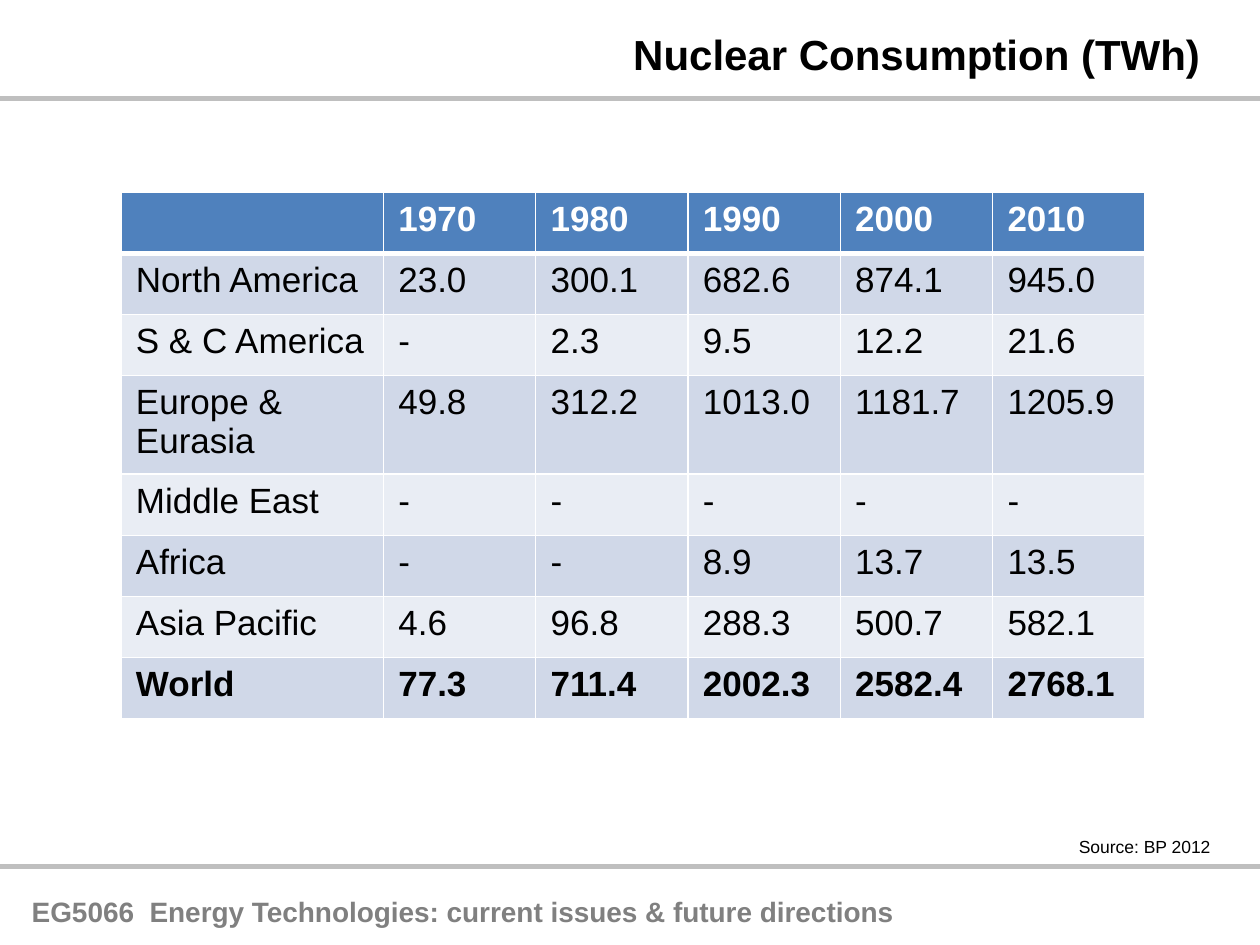
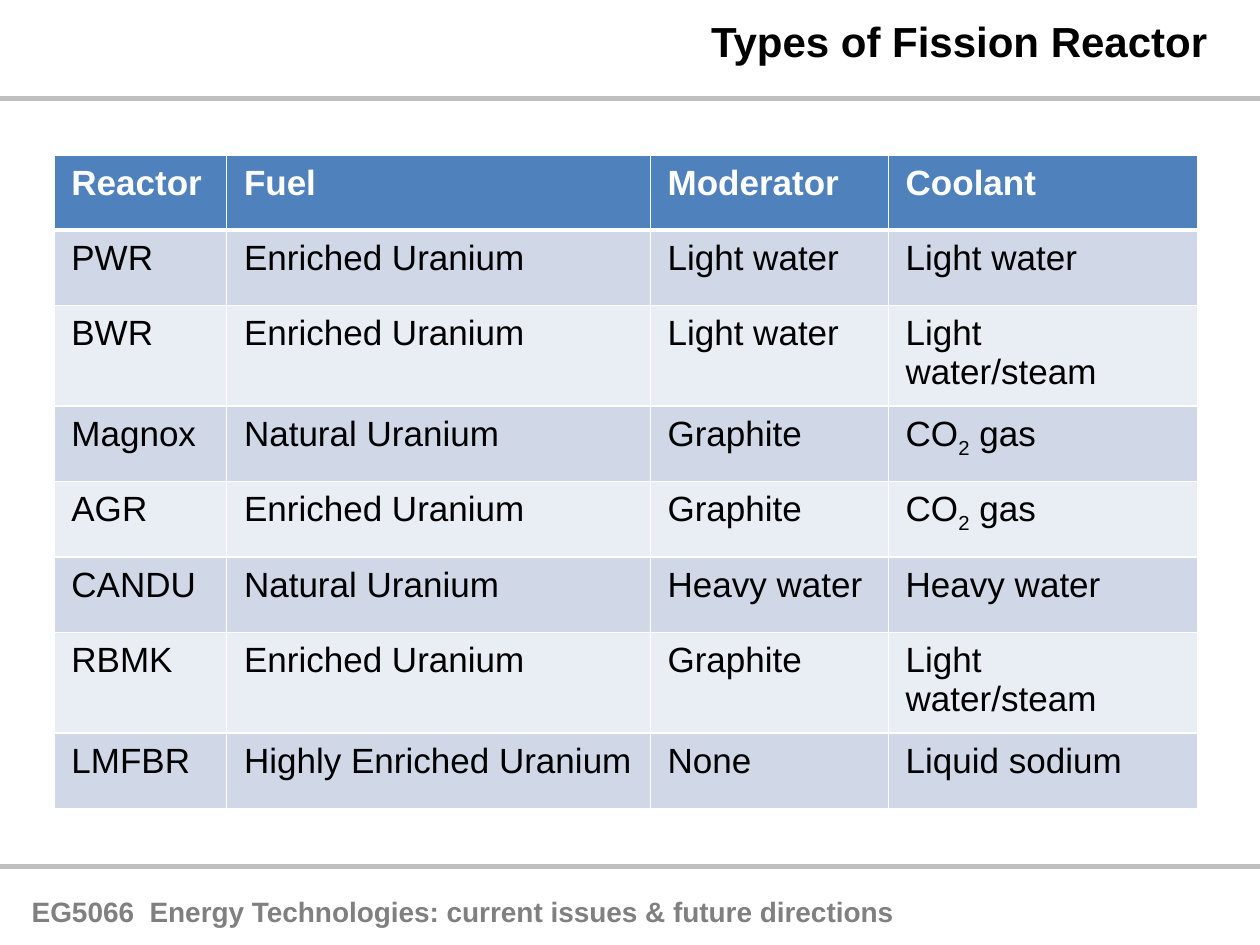
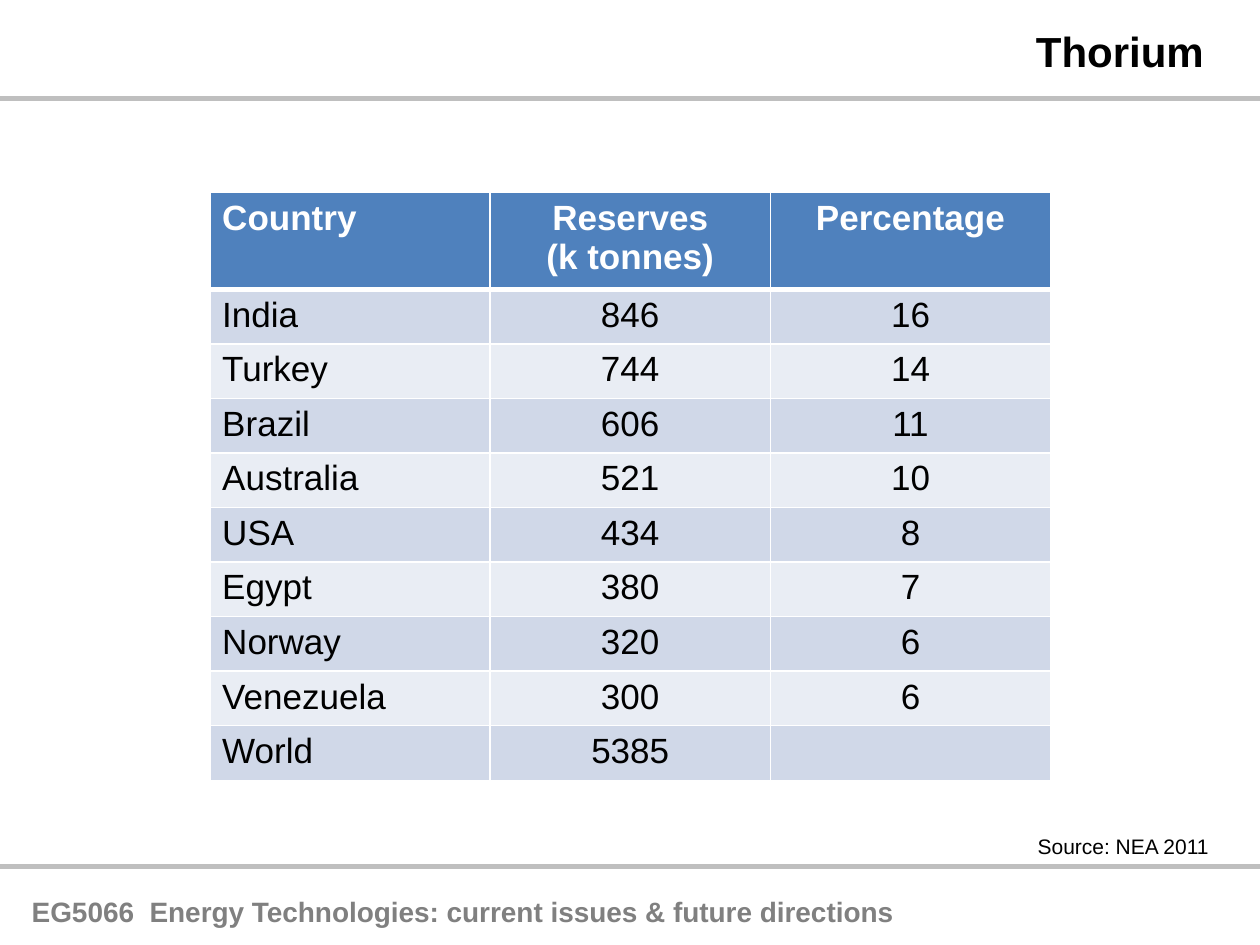
from pptx import Presentation
from pptx.dml.color import RGBColor
from pptx.enum import shapes, text
from pptx.oxml.ns import qn
from pptx.util import Cm, Pt
from lxml import etree

FONT = "Arial"
BLACK, WHITE, GREY, RULE = "000000", "FFFFFF", "808080", "BFBFBF"
HEAD, BANDS = "4F81BD", ("D0D8E8", "E9EDF4")
LEFT, MID = text.PP_ALIGN.LEFT, text.PP_ALIGN.CENTER

COURSE = "EG5066  Energy Technologies: current issues & future directions"

PAGES = [
    dict(
        title="Nuclear Consumption (TWh)", spot=(12.51, 0.45, 12.04),
        source=("Source: BP 2012", 10, (21.5, 16.73, 3.18, 0.69)),
        at=(2.44, 3.88), cols=[5.29] + [3.07] * 5, high=1.23, tall={3: 1.99},
        pad=0.3, align=LEFT, total=True,
        rows=[
            ("", "1970", "1980", "1990", "2000", "2010"),
            ("North America", "23.0", "300.1", "682.6", "874.1", "945.0"),
            ("S & C America", "-", "2.3", "9.5", "12.2", "21.6"),
            ("Europe & Eurasia", "49.8", "312.2", "1013.0", "1181.7", "1205.9"),
            ("Middle East", "-", "-", "-", "-", "-"),
            ("Africa", "-", "-", "8.9", "13.7", "13.5"),
            ("Asia Pacific", "4.6", "96.8", "288.3", "500.7", "582.1"),
            ("World", "77.3", "711.4", "2002.3", "2582.4", "2768.1"),
        ]),
    dict(
        title="Types of Fission Reactor", spot=(14.08, 0.19, 10.62),
        source=None,
        at=(1.09, 3.12), cols=[3.48, 8.54, 4.8, 6.24], high=1.52,
        tall={2: 2.03, 6: 2.03},
        pad=0.35, align=LEFT, total=False,
        rows=[
            ("Reactor", "Fuel", "Moderator", "Coolant"),
            ("PWR", "Enriched Uranium", "Light water", "Light water"),
            ("BWR", "Enriched Uranium", "Light water", "Light water/steam"),
            ("Magnox", "Natural Uranium", "Graphite", "CO_2_ gas"),
            ("AGR", "Enriched Uranium", "Graphite", "CO_2_ gas"),
            ("CANDU", "Natural Uranium", "Heavy water", "Heavy water"),
            ("RBMK", "Enriched Uranium", "Graphite", "Light water/steam"),
            ("LMFBR", "Highly Enriched Uranium", "None", "Liquid sodium"),
        ]),
    dict(
        title="Thorium", spot=(20.63, 0.39, 3.94),
        source=("Source: NEA 2011", 12, (20.65, 16.68, 3.99, 0.76)),
        at=(4.23, 3.88), cols=[5.65] * 3, high=1.1, tall={0: 1.95},
        pad=0.25, align=MID, total=False,
        rows=[
            ("Country", "Reserves\n(k tonnes)", "Percentage"),
            ("India", "846", "16"),
            ("Turkey", "744", "14"),
            ("Brazil", "606", "11"),
            ("Australia", "521", "10"),
            ("USA", "434", "8"),
            ("Egypt", "380", "7"),
            ("Norway", "320", "6"),
            ("Venezuela", "300", "6"),
            ("World", "5385", ""),
        ]),
]


def tint(code):
    return RGBColor.from_string(code)


def write(frame, words, size=20, color=BLACK, bold=False, align=LEFT):
    for n, line in enumerate(words.split("\n")):
        para = frame.add_paragraph() if n else frame.paragraphs[0]
        para.alignment = align
        for k, part in enumerate(line.split("_")):
            if not part:
                continue
            run = para.add_run()
            run.text = part
            font = run.font
            font.name, font.size, font.bold = FONT, Pt(size), bold
            font.color.rgb = tint(color)
            if k % 2:
                run._r.get_or_add_rPr().set("baseline", "-25000")


def label(slide, words, box, **look):
    shape = slide.shapes.add_textbox(*map(Cm, box))
    shape.text_frame.word_wrap = False
    write(shape.text_frame, words, **look)
    return shape


def rule(slide, y):
    line = slide.shapes.add_connector(
        shapes.MSO_CONNECTOR.STRAIGHT, 0, Cm(y), Cm(25.4), Cm(y))
    line.line.color.rgb = tint(RULE)
    line.line.width = Pt(3)
    etree.SubElement(line._element.spPr, qn("a:effectLst"))
    return line


def share(slide):
    parts = [label(slide, COURSE, (0.39, 17.91, 18.11, 0.94),
                   size=16, color=GREY, bold=True),
             rule(slide, 17.47), rule(slide, 1.98)]
    for part in parts:
        slide.slide_layout.shapes._spTree.append(part._element)


def head(slide, words, spot):
    shape = slide.shapes.title
    left, top, width = spot
    shape.left, shape.top = Cm(left), Cm(top)
    shape.width, shape.height = Cm(width), Cm(1.27)
    frame = shape.text_frame
    frame.word_wrap = False
    frame.auto_size = text.MSO_AUTO_SIZE.NONE
    frame.vertical_anchor = text.MSO_ANCHOR.TOP
    write(frame, words, size=24, bold=True)


def edge(cell, first):
    props = cell._tc.get_or_add_tcPr()
    for side in "LRTB":
        width = Pt(3 if first and side == "B" else 1)
        line = etree.SubElement(props, qn("a:ln" + side), w=str(width))
        fill = etree.SubElement(line, qn("a:solidFill"))
        etree.SubElement(fill, qn("a:srgbClr"), val=WHITE)


def grid(slide, page):
    rows, cols, pad = page["rows"], page["cols"], page["pad"]
    highs = [page["tall"].get(r, page["high"]) for r in range(len(rows))]
    table = slide.shapes.add_table(
        len(rows), len(cols), *map(Cm, page["at"]),
        Cm(sum(cols)), Cm(sum(highs))).table
    for col, wide in zip(table.columns, cols):
        col.width = Cm(wide)
    for r, (row, high) in enumerate(zip(rows, highs)):
        table.rows[r].height = Cm(high)
        first = r == 0
        bold = first or (page["total"] and r == len(rows) - 1)
        for c, words in enumerate(row):
            cell = table.cell(r, c)
            cell.margin_left = cell.margin_right = Cm(pad)
            cell.margin_top = cell.margin_bottom = Cm(pad / 2)
            edge(cell, first)
            cell.fill.solid()
            cell.fill.fore_color.rgb = tint(HEAD if first else BANDS[(r - 1) % 2])
            write(cell.text_frame, words, color=WHITE if first else BLACK,
                  bold=bold, align=page["align"] if c else LEFT)


def main():
    deck = Presentation()
    deck.slide_width, deck.slide_height = Cm(25.4), Cm(19.05)
    layout = deck.slide_layouts[5]
    for n, page in enumerate(PAGES):
        slide = deck.slides.add_slide(layout)
        if n == 0:
            share(slide)
        head(slide, page["title"], page["spot"])
        grid(slide, page)
        if page["source"]:
            words, size, box = page["source"]
            label(slide, words, box, size=size, align=page["align"])
    deck.save("out.pptx")


if __name__ == "__main__":
    main()
